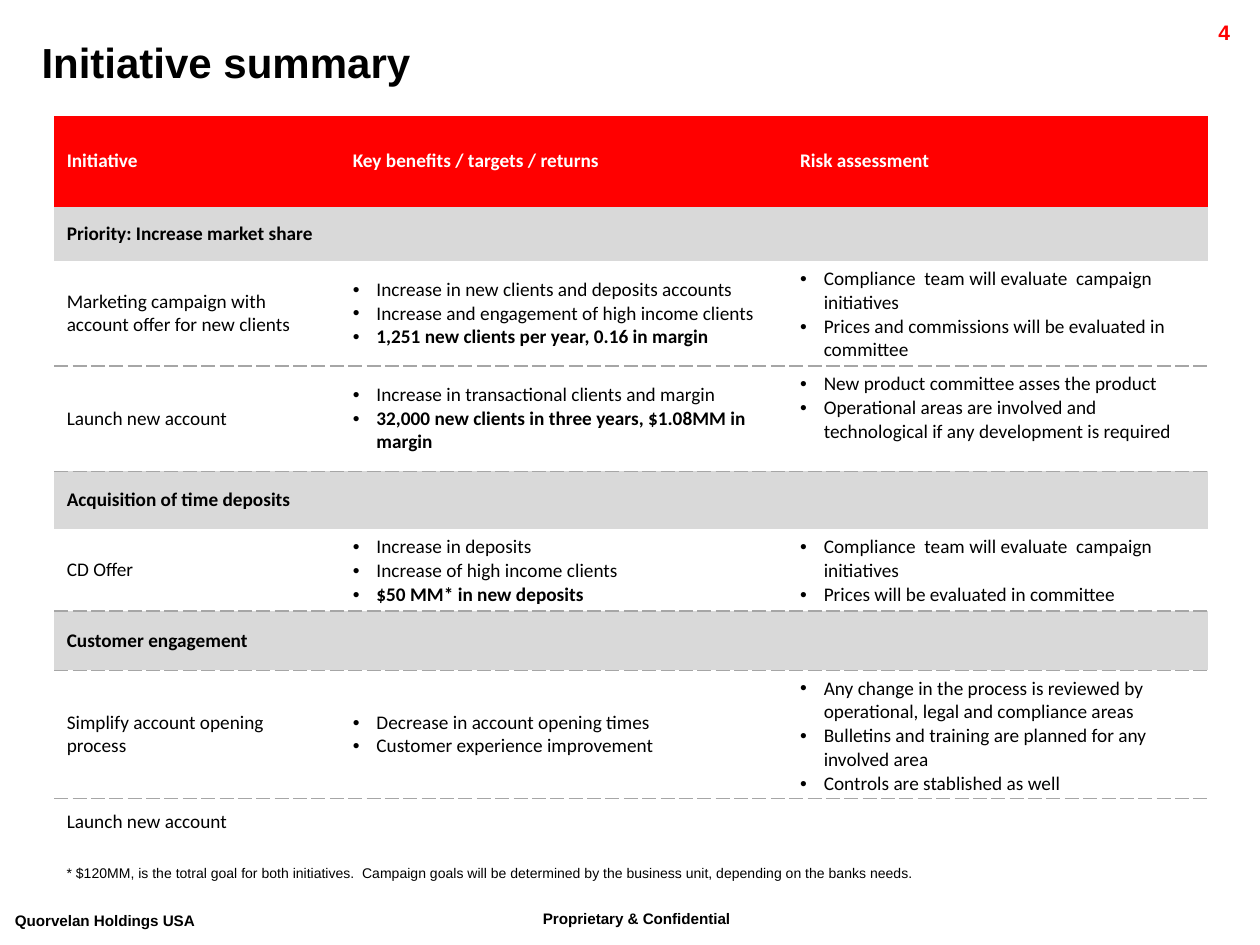
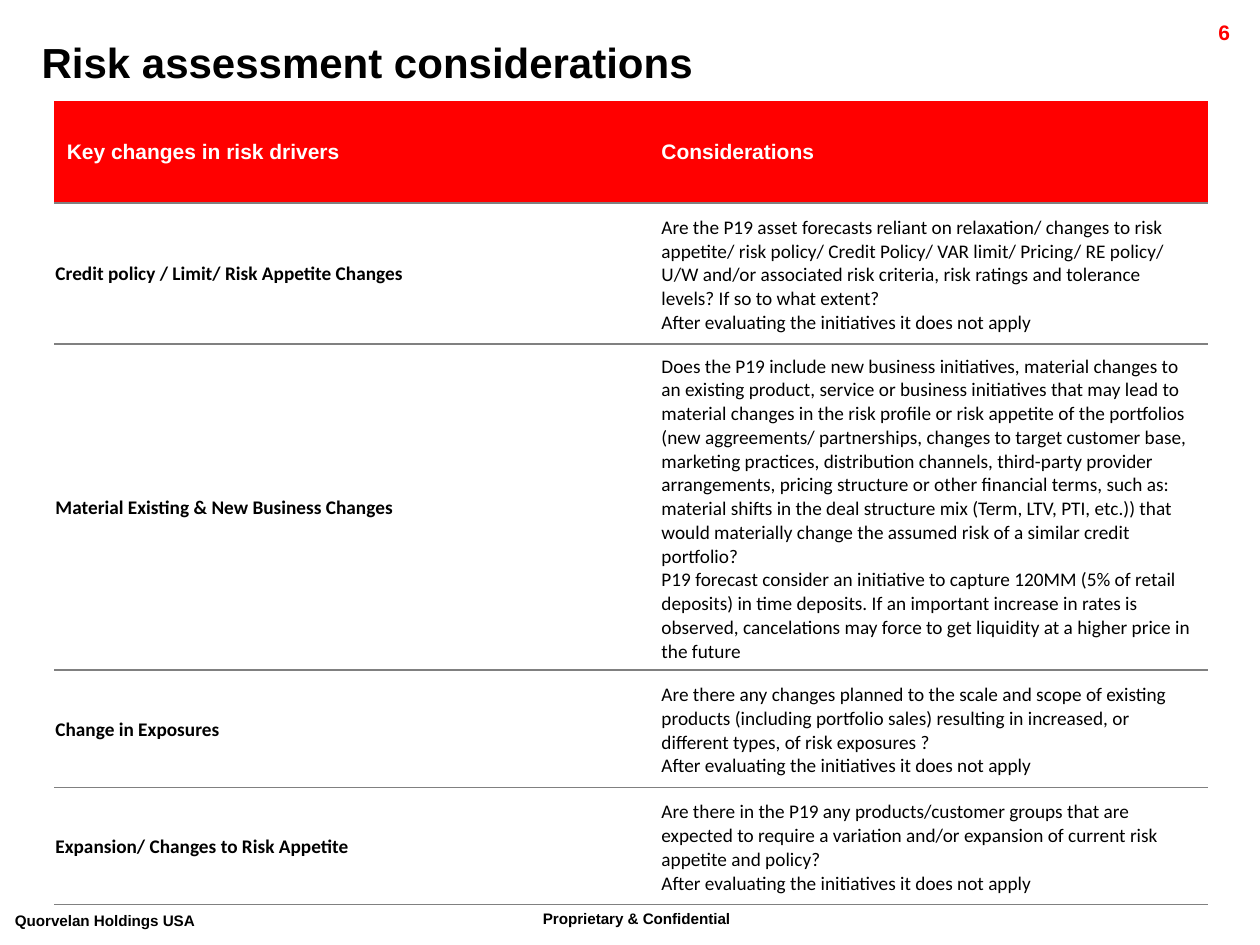
import pptx
import pptx.dml.color
import pptx.enum.text
import pptx.oxml.ns
import pptx.util
from dataclasses import dataclass
from lxml import etree

RGBColor = pptx.dml.color.RGBColor
Pt = pptx.util.Pt
Inches = pptx.util.Inches
Anchor = pptx.enum.text.MSO_ANCHOR
Align = pptx.enum.text.PP_ALIGN
qn = pptx.oxml.ns.qn

RED = RGBColor(0xFF, 0x00, 0x00)
BLACK = RGBColor(0x00, 0x00, 0x00)
WHITE = RGBColor(0xFF, 0xFF, 0xFF)
BAND_GREY = RGBColor(0xD9, 0xD9, 0xD9)
DASH_GREY = RGBColor(0xA6, 0xA6, 0xA6)
RULE_GREY = RGBColor(0x80, 0x80, 0x80)

SLIDE_W, SLIDE_H = Inches(10), Inches(7.5)
GRID_COLS, GRID_ROWS = 100, 75
TITLE_ONLY = 5


def cols(n: float) -> int:
    return round(SLIDE_W * n / GRID_COLS)


def rows(n: float) -> int:
    return round(SLIDE_H * n / GRID_ROWS)


@dataclass(frozen=True)
class Box:
    x: float
    y: float
    w: float
    h: float

    def place(self) -> tuple[int, int, int, int]:
        return cols(self.x), rows(self.y), cols(self.w), rows(self.h)


@dataclass(frozen=True)
class Style:
    size: float
    font: str = "Arial"
    color: RGBColor = BLACK
    bold: bool = False
    baseline: int = 0


@dataclass(frozen=True)
class Para:
    text: str
    bold: bool = False
    bullet: bool = False


@dataclass(frozen=True)
class Margins:
    left: float = 1
    top: float = 0.5
    right: float = 1
    bottom: float = 0.5


@dataclass(frozen=True)
class Cell:
    paras: tuple[Para, ...] = ()
    style: Style = Style(11, "Calibri")
    fill: RGBColor | None = None
    margins: Margins = Margins()


@dataclass(frozen=True)
class Row:
    height: float
    cells: tuple[Cell, ...]
    ruled: bool = True


@dataclass(frozen=True)
class Rule:
    color: RGBColor
    width: float
    dash: str


@dataclass(frozen=True)
class Table:
    x: float
    y: float
    widths: tuple[float, ...]
    rows: tuple[Row, ...]
    rule: Rule


TITLE_BOX = Box(2.3, 2.4, 98.2, 5)
NUMBER_BOX = Box(89.1, 1.1, 9.5, 2.4)
NOTE_BOX = Box(4.3, 68.1, 84.2, 2.4)
CONFIDENTIAL_BOX = Box(42.1, 71.4, 21.8, 3.5)
COMPANY_BOX = Box(0.2, 71.6, 19.1, 3.5)

TITLE = Style(24, bold=True)
NUMBER = Style(12, color=RED, bold=True)
FOOTER = Style(15, bold=True, baseline=30000)
NOTE = Style(8)
SMALL_HEADER = Style(11, "Calibri", WHITE, True)
LARGE_HEADER = Style(12, "Arial", WHITE, True)

LABEL_MARGINS = Margins(0.1, 0.1, 0.1, 0)
ANSWER_MARGINS = Margins(1, 0.8, 1, 0.5)
NOT_APPLICABLE = "After evaluating the initiatives it does not apply"


def add_run(p, text: str, style: Style, bold: bool = False) -> None:
    r = p.add_run()
    r.text = text
    r.font.size = Pt(style.size)
    r.font.name = style.font
    r.font.bold = style.bold or bold
    r.font.color.rgb = style.color
    if style.baseline:
        r.font._element.set("baseline", str(style.baseline))


def add_text(slide, box: Box, text: str, style: Style,
             align=Align.LEFT, wrap: bool = True) -> None:
    tf = slide.shapes.add_textbox(*box.place()).text_frame
    tf.word_wrap = wrap
    tf.paragraphs[0].alignment = align
    add_run(tf.paragraphs[0], text, style)


def add_bullet(p) -> None:
    pPr = p._p.get_or_add_pPr()
    pPr.set("marL", str(cols(1.88)))
    pPr.set("indent", str(-cols(1.88)))
    etree.SubElement(pPr, qn("a:buFont")).set("typeface", "Arial")
    etree.SubElement(pPr, qn("a:buChar")).set("char", "•")


def set_borders(cell, top: Rule | None, bottom: Rule | None) -> None:
    tcPr = cell._tc.get_or_add_tcPr()
    sides = {"a:lnL": None, "a:lnR": None, "a:lnT": top, "a:lnB": bottom}
    for i, (tag, rule) in enumerate(sides.items()):
        ln = etree.Element(qn(tag))
        if rule:
            ln.set("w", str(Pt(rule.width)))
            fill = etree.SubElement(ln, qn("a:solidFill"))
            etree.SubElement(fill, qn("a:srgbClr")).set("val", str(rule.color))
            etree.SubElement(ln, qn("a:prstDash")).set("val", rule.dash)
        else:
            etree.SubElement(ln, qn("a:noFill"))
        tcPr.insert(i, ln)


def fill_cell(cell, content: Cell) -> None:
    m = content.margins
    cell.margin_left, cell.margin_right = cols(m.left), cols(m.right)
    cell.margin_top, cell.margin_bottom = rows(m.top), rows(m.bottom)
    cell.vertical_anchor = Anchor.MIDDLE
    if content.fill is None:
        cell.fill.background()
    else:
        cell.fill.solid()
        cell.fill.fore_color.rgb = content.fill
    tf = cell.text_frame
    for i, para in enumerate(content.paras):
        p = tf.add_paragraph() if i else tf.paragraphs[0]
        if para.bullet:
            add_bullet(p)
        add_run(p, para.text, content.style, para.bold)
    if not content.paras:
        end = etree.SubElement(tf.paragraphs[0]._p, qn("a:endParaRPr"))
        end.set("sz", str(round(content.style.size * 100)))


def add_table(slide, spec_table: Table) -> None:
    t = spec_table
    box = Box(t.x, t.y, sum(t.widths), sum(row.height for row in t.rows))
    tbl = slide.shapes.add_table(len(t.rows), len(t.widths), *box.place()).table
    tbl.horz_banding = False
    for column, width in zip(tbl.columns, t.widths):
        column.width = cols(width)
    above = None
    for i, row in enumerate(t.rows):
        tbl.rows[i].height = rows(row.height)
        below = t.rule if row.ruled else None
        blanks = (Cell(fill=row.cells[0].fill),) * (len(t.widths) - len(row.cells))
        for j, content in enumerate(row.cells + blanks):
            fill_cell(tbl.cell(i, j), content)
            set_borders(tbl.cell(i, j), above, below)
        if len(row.cells) == 1:
            tbl.cell(i, 0).merge(tbl.cell(i, len(t.widths) - 1))
        above = below


def add_slide(prs, title: str, number: str, table: Table):
    slide = prs.slides.add_slide(prs.slide_layouts[TITLE_ONLY])
    sp = slide.shapes.title
    sp.left, sp.top, sp.width, sp.height = TITLE_BOX.place()
    tf = sp.text_frame
    tf.auto_size = pptx.enum.text.MSO_AUTO_SIZE.NONE
    tf.vertical_anchor = Anchor.MIDDLE
    tf.paragraphs[0].alignment = Align.LEFT
    add_run(tf.paragraphs[0], title, TITLE)
    add_text(slide, CONFIDENTIAL_BOX, "Proprietary & Confidential", FOOTER)
    add_text(slide, COMPANY_BOX, "Quorvelan Holdings USA", FOOTER, wrap=False)
    add_text(slide, NUMBER_BOX, number, NUMBER, Align.RIGHT)
    add_table(slide, table)
    return slide


def header(height: float, style: Style, *labels: str, ruled: bool = False) -> Row:
    cells = tuple(Cell((Para(s),), style, RED) for s in labels)
    return Row(height, cells, ruled)


def band(height: float, label: str, ruled: bool = False) -> Row:
    return Row(height, (Cell((Para(label, True),), fill=BAND_GREY),), ruled)


def bullets(*texts: str, target: str = "", margins: Margins = Margins()) -> Cell:
    paras = tuple(Para(s, bullet=True) for s in texts)
    if target:
        paras += (Para(target, True, True),)
    return Cell(paras, margins=margins)


def initiative(height: float, name: str, benefits: Cell, risks: Cell,
               ruled: bool = True) -> Row:
    return Row(height, (Cell((Para(name),)), benefits, risks), ruled)


def driver(height: float, label: str, question: str,
           answer: str = NOT_APPLICABLE) -> Row:
    return Row(height, (
        Cell((Para(label, True),), margins=LABEL_MARGINS),
        Cell((Para(question), Para(answer)), margins=ANSWER_MARGINS),
    ))


INITIATIVES = Table(4.3, 9.2, (22.7, 35.5, 33.4), (
    header(7.2, SMALL_HEADER, "Initiative", "Key benefits / targets / returns",
           "Risk assessment"),
    band(4.3, "Priority: Increase market share"),
    initiative(
        8.35, "Marketing campaign with account offer for new clients",
        bullets("Increase in new clients and deposits accounts",
                "Increase and engagement of high income clients",
                target="1,251 new clients per year, 0.16 in margin"),
        bullets("Compliance  team will evaluate  campaign initiatives",
                "Prices and commissions will be evaluated in committee")),
    initiative(
        8.35, "Launch new account",
        bullets("Increase in transactional clients and margin",
                target="32,000 new clients in three years, $1.08MM in margin"),
        bullets("New product committee asses the product",
                "Operational areas are involved and technological if any "
                "development is required", margins=Margins(bottom=2.2))),
    band(4.6, "Acquisition of time deposits"),
    initiative(
        6.5, "CD Offer",
        bullets("Increase in deposits", "Increase of high income clients",
                target="$50 MM* in new deposits"),
        bullets("Compliance  team will evaluate  campaign initiatives",
                "Prices will be evaluated in committee")),
    band(4.7, "Customer engagement", ruled=True),
    initiative(
        10.2, "Simplify account opening process",
        bullets("Decrease in account opening times",
                "Customer experience improvement"),
        bullets("Any change in the process is reviewed by operational, legal "
                "and compliance areas",
                "Bulletins and training are planned for any involved area",
                "Controls are stablished as well")),
    initiative(3.6, "Launch new account", Cell(), Cell(), ruled=False),
), Rule(DASH_GREY, 0.75, "sysDash"))

CONSIDERATIONS = Table(4.3, 8, (47.2, 44.4), (
    header(8.1, LARGE_HEADER, "Key changes in risk drivers", "Considerations",
           ruled=True),
    driver(11.2, "Credit policy / Limit/ Risk Appetite Changes",
           "Are the P19 asset forecasts reliant on relaxation/ changes to risk "
           "appetite/ risk policy/ Credit Policy/ VAR limit/ Pricing/ RE policy/ "
           "U/W and/or associated risk criteria, risk ratings and tolerance "
           "levels? If so to what extent?"),
    driver(25.9, "Material Existing & New Business Changes",
           "Does the P19 include new business initiatives, material changes to "
           "an existing product, service or business initiatives that may lead to "
           "material changes in the risk profile or risk appetite of the portfolios "
           "(new aggreements/ partnerships, changes to target customer base, "
           "marketing practices, distribution channels, third-party provider "
           "arrangements, pricing structure or other financial terms, such as: "
           "material shifts in the deal structure mix (Term, LTV, PTI, etc.)) that "
           "would materially change the assumed risk of a similar credit portfolio?",
           "P19 forecast consider an initiative to capture 120MM (5% of retail "
           "deposits) in time deposits. If an important increase in rates is "
           "observed, cancelations may force to get liquidity at a higher price in "
           "the future"),
    driver(9.3, "Change in Exposures",
           "Are there any changes planned to the scale and scope of existing "
           "products (including portfolio sales) resulting in increased, or "
           "different types, of risk exposures ?"),
    driver(9.3, "Expansion/ Changes to Risk Appetite",
           "Are there in the P19 any products/customer groups that are expected to "
           "require a variation and/or expansion of current risk appetite and policy?"),
), Rule(RULE_GREY, 1, "solid"))


def main() -> None:
    prs = pptx.Presentation()
    prs.slide_width, prs.slide_height = SLIDE_W, SLIDE_H
    summary = add_slide(prs, "Initiative summary", "4", INITIATIVES)
    add_text(summary, NOTE_BOX,
             "* $120MM, is the totral goal for both initiatives.  Campaign goals will "
             "be determined by the business unit, depending on the banks needs.", NOTE)
    add_slide(prs, "Risk assessment considerations", "6", CONSIDERATIONS)
    prs.save("out.pptx")


if __name__ == "__main__":
    main()
